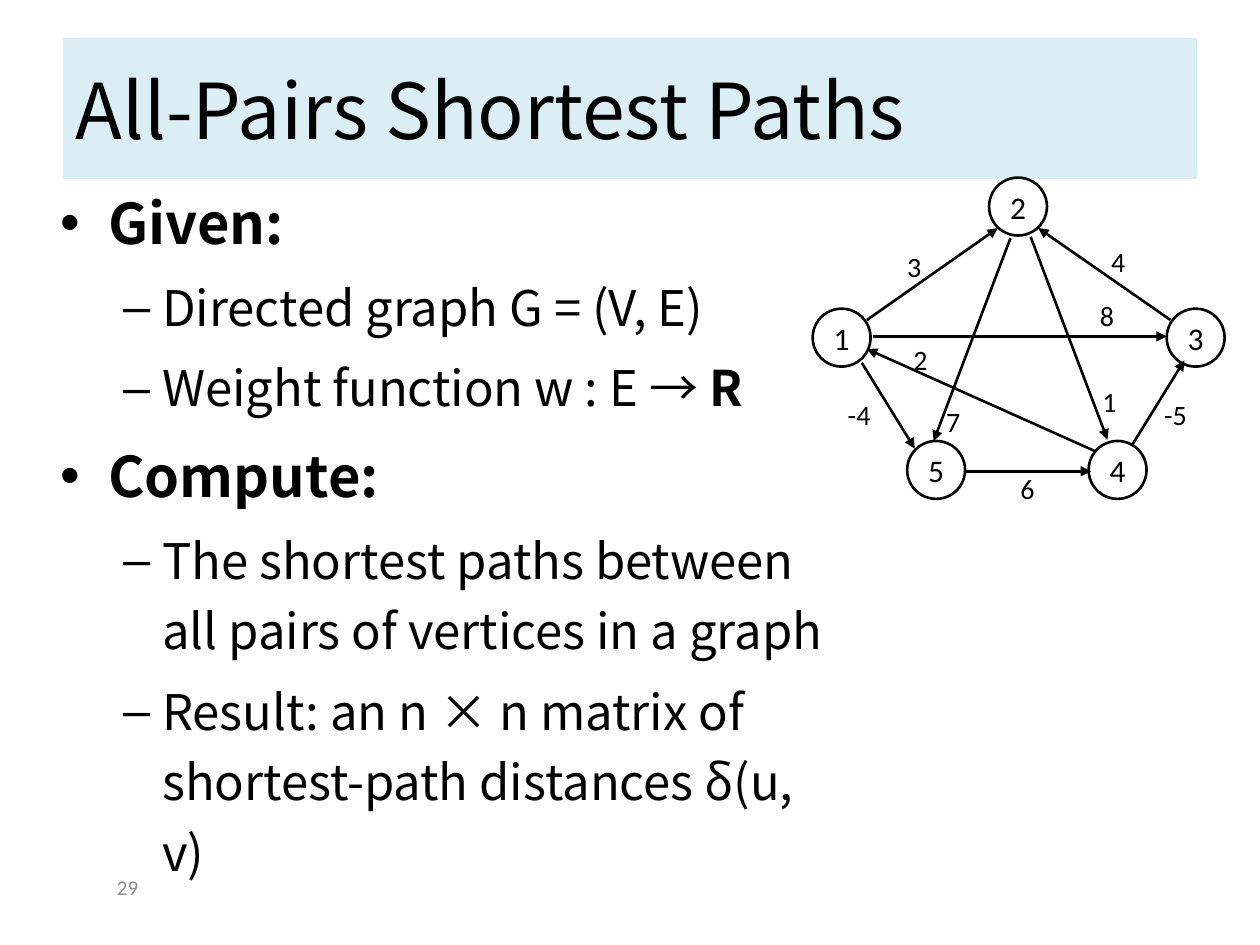
from pptx import Presentation
from pptx.dml.color import RGBColor
from pptx.enum.shapes import MSO_CONNECTOR, MSO_SHAPE
from pptx.enum.text import MSO_ANCHOR, MSO_AUTO_SIZE, PP_ALIGN
from pptx.oxml.ns import qn
from pptx.util import Inches, Pt
from lxml import etree

LINE, OVAL = MSO_CONNECTOR.STRAIGHT, MSO_SHAPE.OVAL
MIDDLE, NO_FIT = MSO_ANCHOR.MIDDLE, MSO_AUTO_SIZE.NONE
LEFT, CENTER = PP_ALIGN.LEFT, PP_ALIGN.CENTER

BLACK = RGBColor(0, 0, 0)
GRAY = RGBColor(0x8C, 0x8C, 0x8C)
PALE = RGBColor(0xDB, 0xEE, 0xF4)
SANS, WIDE = "Calibri", "Noto Sans CJK KR"
SIZE = 0.46

LEVELS = [
    {"size": 32, "left": 0.38, "hang": 0.38, "mark": "•"},
    {"size": 28, "left": 0.81, "hang": 0.31, "mark": "–"},
]
BODY = [
    (0, [("Given:", True)]),
    (1, [("Directed graph G = (V, E)", False)]),
    (1, [("Weight function w : E → ", False), ("R", True)]),
    (0, [("Compute:", True)]),
    (1, [("The shortest paths between all pairs of vertices in a graph", False)]),
    (1, [("Result: an n × n matrix of shortest-path distances δ(u, v)", False)]),
]
NODES = [
    ("1", 6.45, 2.45), ("2", 7.85, 1.41), ("3", 9.26, 2.45),
    ("5", 7.2, 3.5), ("4", 8.64, 3.5),
]
EDGES = [
    (6.88, 2.54, 7.92, 1.81), (6.84, 2.88, 7.26, 3.56),
    (7.67, 3.74, 8.66, 3.74), (8.18, 1.88, 8.79, 3.49),
    (8.69, 3.58, 6.88, 2.77), (9.29, 2.54, 8.24, 1.81),
    (8.02, 1.89, 7.41, 3.5), (8.98, 3.54, 9.4, 2.86),
    (6.93, 2.67, 9.26, 2.67),
]
WEIGHTS = [
    ("3", 7.1, 1.93), ("-4", 6.63, 3.11), ("7", 7.41, 3.16),
    ("6", 8, 3.69), ("2", 7.15, 2.67), ("4", 8.72, 1.89),
    ("1", 8.65, 3), ("-5", 9.14, 3.11), ("8", 8.63, 2.32),
]


def assign(item, values):
    """Set attributes of an item from a dict."""
    for name, value in values.items():
        setattr(item, name, value)


def add_run(para, text, size, face=SANS, color=BLACK, bold=False):
    """Add a styled run to a paragraph."""
    run = para.add_run()
    run.text = text
    run.font.color.rgb = color
    assign(run.font, {"size": Pt(size), "name": face, "bold": bold})
    if face == WIDE:
        etree.SubElement(run.font._element, qn("a:ea"), typeface=face)


def add_title(slide, text):
    """Place the title on its pale band."""
    title = slide.shapes.title
    assign(title, {"left": Inches(0.5), "top": Inches(0.3),
                   "width": Inches(9), "height": Inches(1.12)})
    title.fill.solid()
    title.fill.fore_color.rgb = PALE
    frame = title.text_frame
    assign(frame, {"vertical_anchor": MIDDLE, "auto_size": NO_FIT})
    para = frame.paragraphs[0]
    para.alignment = LEFT
    add_run(para, text, 44, WIDE)


def add_box(shapes, x, y, w, h, wrap=True):
    """Add a text box and return its frame."""
    box = shapes.add_textbox(Inches(x), Inches(y), Inches(w), Inches(h))
    box.text_frame.word_wrap = wrap
    return box.text_frame


def add_body(slide):
    """Write the two-level bullet list."""
    frame = add_box(slide.shapes, 0.38, 1.33, 6.4, 5.55)
    frame.margin_top = Inches(0.06)
    for index, (level, runs) in enumerate(BODY):
        style = LEVELS[level]
        para = frame.add_paragraph() if index else frame.paragraphs[0]
        props = para._p.get_or_add_pPr()
        props.set("marL", str(Inches(style["left"])))
        props.set("indent", str(-Inches(style["hang"])))
        etree.SubElement(props, qn("a:buFont"), typeface="Arial")
        etree.SubElement(props, qn("a:buChar"), char=style["mark"])
        gap = 0.2 * style["size"] if index else 0
        assign(para, {"level": level, "line_spacing": 1.2, "space_before": Pt(gap)})
        for text, bold in runs:
            add_run(para, text, style["size"], WIDE, bold=bold)


def add_node(shapes, name, x, y):
    """Draw a numbered vertex."""
    node = shapes.add_shape(OVAL, Inches(x), Inches(y), Inches(SIZE), Inches(SIZE))
    node.shadow.inherit = False
    node.fill.background()
    node.line.color.rgb = BLACK
    node.line.width = Pt(1.5)
    frame = node.text_frame
    assign(frame, {"word_wrap": False, "vertical_anchor": MIDDLE})
    para = frame.paragraphs[0]
    para.alignment = CENTER
    add_run(para, name, 18)


def add_edge(shapes, *ends):
    """Draw a directed edge."""
    edge = shapes.add_connector(LINE, *map(Inches, ends))
    edge.line.color.rgb = BLACK
    edge.line.width = Pt(1.5)
    etree.SubElement(edge.line._get_or_add_ln(), qn("a:tailEnd"), type="triangle")
    etree.SubElement(edge._element.spPr, qn("a:effectLst"))


def add_weight(shapes, text, x, y):
    """Label an edge with its weight."""
    width = 0.4 if len(text) > 1 else 0.32
    frame = add_box(shapes, x, y, width, 0.37, wrap=False)
    add_run(frame.paragraphs[0], text, 16)


def add_graph(slide):
    """Draw the weighted graph as one group."""
    shapes = slide.shapes.add_group_shape().shapes
    for draw, rows in ((add_node, NODES), (add_edge, EDGES), (add_weight, WEIGHTS)):
        for row in rows:
            draw(shapes, *row)


def main():
    """Build and save the slide."""
    deck = Presentation()
    assign(deck, {"slide_width": Inches(10), "slide_height": Inches(7.5)})
    slide = deck.slides.add_slide(deck.slide_layouts[5])
    add_title(slide, "All-Pairs Shortest Paths")
    add_body(slide)
    add_graph(slide)
    number = add_box(slide.shapes, 0.83, 6.83, 5, 0.42)
    number.vertical_anchor = MIDDLE
    add_run(number.paragraphs[0], "29", 12, color=GRAY)
    deck.save("out.pptx")


if __name__ == "__main__":
    main()
